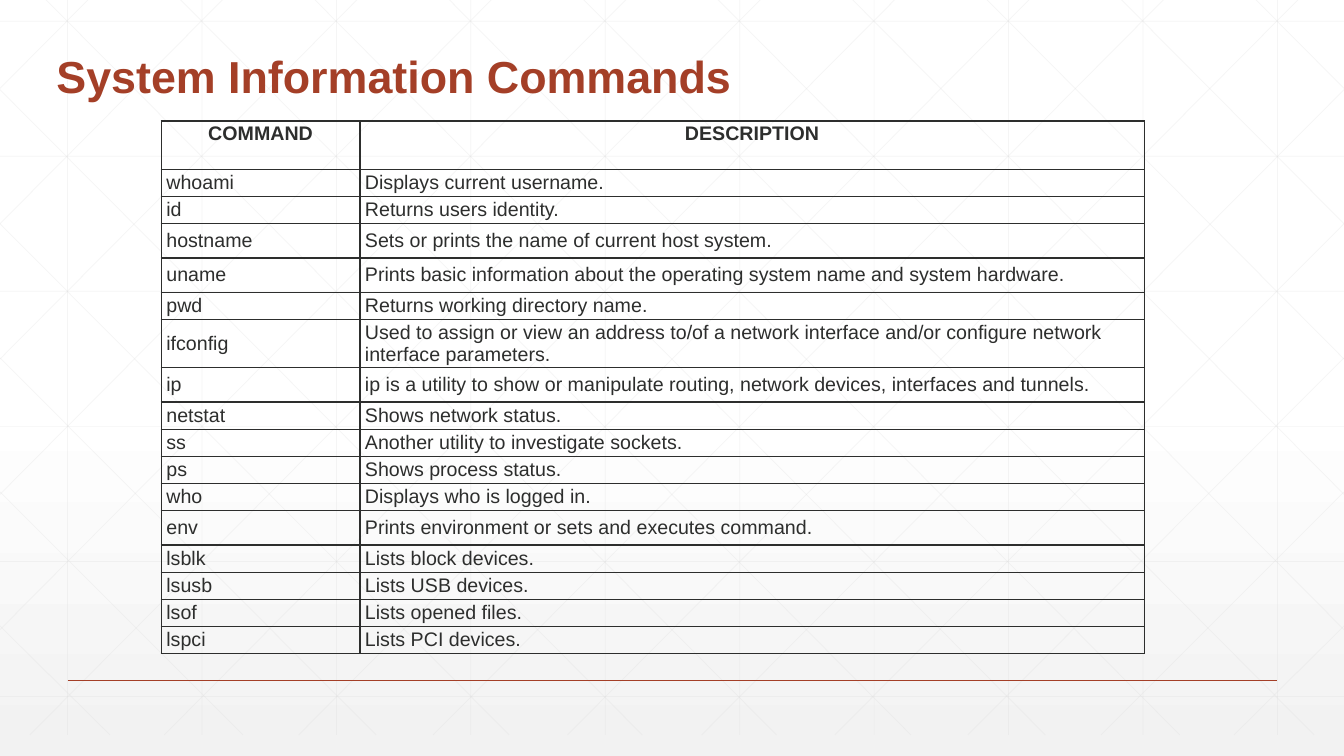
from copy import deepcopy

from lxml import etree
from pptx import Presentation
from pptx.dml.color import RGBColor
from pptx.enum.shapes import MSO_CONNECTOR
from pptx.enum.text import MSO_ANCHOR, MSO_AUTO_SIZE, PP_ALIGN
from pptx.oxml.ns import qn
from pptx.util import Inches, Pt

STRAIGHT = MSO_CONNECTOR.STRAIGHT
TOP, MIDDLE, BOTTOM = MSO_ANCHOR.TOP, MSO_ANCHOR.MIDDLE, MSO_ANCHOR.BOTTOM
LEFT, CENTER = PP_ALIGN.LEFT, PP_ALIGN.CENTER

RUST = RGBColor(0xA4, 0x3F, 0x27)
INK = RGBColor(0x2D, 0x2E, 0x2D)
GRID_GRAY = RGBColor(0xD9, 0xD9, 0xD9)
WHITE = RGBColor(0xFF, 0xFF, 0xFF)
PALE_GRAY = RGBColor(0xF2, 0xF2, 0xF2)

WIDTH, HEIGHT = 13.33, 7.5
GRID_TOP, GRID_BOTTOM = -0.21, 7.29
GRID_STEP = 4 / 3
DIAGONAL_RUN = 7.45

SHORT, MEDIUM, TALL = 0.27, 0.34, 0.48
COMMANDS = [
    ("COMMAND", "DESCRIPTION", TALL),
    ("whoami", "Displays current username.", SHORT),
    ("id", "Returns users identity.", SHORT),
    ("hostname", "Sets or prints the name of current host system.", MEDIUM),
    ("uname", "Prints basic information about the operating system name and system hardware.", MEDIUM),
    ("pwd", "Returns working directory name.", SHORT),
    ("ifconfig", "Used to assign or view an address to/of a network interface "
     "and/or configure network interface parameters.", TALL),
    ("ip", "ip is a utility to show or manipulate routing, network devices, interfaces and tunnels.", MEDIUM),
    ("netstat", "Shows network status.", SHORT),
    ("ss", "Another utility to investigate sockets.", SHORT),
    ("ps", "Shows process status.", SHORT),
    ("who", "Displays who is logged in.", SHORT),
    ("env", "Prints environment or sets and executes command.", MEDIUM),
    ("lsblk", "Lists block devices.", SHORT),
    ("lsusb", "Lists USB devices.", SHORT),
    ("lsof", "Lists opened files.", SHORT),
    ("lspci", "Lists PCI devices.", SHORT),
]


def write_text(frame, text, size=14, color=INK, bold=False, align=LEFT, spacing=1.0, after=0):
    paragraph = frame.paragraphs[0]
    paragraph.text = text
    paragraph.alignment = align
    paragraph.line_spacing = spacing
    paragraph.space_before = Pt(0)
    paragraph.space_after = Pt(after)
    font = paragraph.runs[0].font
    font.name, font.size, font.bold = "Arial", Pt(size), bold
    font.color.rgb = color


def paint_background(slide):
    fill = slide.background.fill
    fill.gradient()
    fill.gradient_angle = 270
    stop_list = slide.element.find(".//" + qn("a:gsLst"))
    stop_list.insert(1, deepcopy(stop_list[0]))
    stops = [(0, WHITE), (0.53, WHITE), (1, PALE_GRAY)]
    for stop, (position, color) in zip(fill.gradient_stops, stops):
        stop.position = position
        stop.color.rgb = color


def add_line(shapes, start, end, color, width, opacity=100):
    points = [Inches(value) for value in (*start, *end)]
    line = shapes.add_connector(STRAIGHT, *points)
    line.line.color.rgb = color
    line.line.width = Pt(width)
    properties = line.element.spPr
    if opacity < 100:
        tint = properties.find(".//" + qn("a:srgbClr"))
        etree.SubElement(tint, qn("a:alpha"), val=str(opacity * 1000))
    etree.SubElement(properties, qn("a:effectLst"))


def add_grid(slide):
    verticals = [0.67 + GRID_STEP * i for i in range(10)]
    horizontals = [0.21 + 1.34 * i for i in range(6)]
    segments = [((x, GRID_TOP), (x, GRID_BOTTOM)) for x in verticals]
    segments += [((0, y), (WIDTH, y)) for y in horizontals]

    diagonals = []
    for i in range(10):
        x = 0.25 + GRID_STEP * i
        run = min(DIAGONAL_RUN, WIDTH - x)
        drop = run * (GRID_BOTTOM - GRID_TOP) / DIAGONAL_RUN
        diagonals.append(((x, GRID_TOP), (x + run, GRID_TOP + drop)))
    for i in range(5):
        diagonals.append(((0, 0.89 + 1.33 * i), (6.37 - 1.32 * i, GRID_BOTTOM)))
    mirrored = [((WIDTH - x1, y1), (WIDTH - x2, y2)) for (x1, y1), (x2, y2) in diagonals]

    grid = slide.shapes.add_group_shape()
    for start, end in segments + diagonals + mirrored:
        add_line(grid.shapes, start, end, GRID_GRAY, 0.5, opacity=25)


def place_title(slide, text):
    title = slide.shapes.title
    title.left, title.top = Inches(0.46), Inches(0)
    title.width, title.height = Inches(7.96), Inches(1.07)
    frame = title.text_frame
    frame.word_wrap = True
    frame.auto_size = MSO_AUTO_SIZE.NONE
    frame.vertical_anchor = BOTTOM
    write_text(frame, text, size=32, color=RUST, bold=True, spacing=0.9, after=6)
    title.element.getparent().append(title.element)


def format_cell(cell):
    cell.margin_left = cell.margin_right = Inches(0.05)
    cell.margin_top = cell.margin_bottom = Inches(0.02)
    properties = cell._tc.get_or_add_tcPr()
    for side in ("a:lnL", "a:lnR", "a:lnT", "a:lnB"):
        border = etree.SubElement(properties, qn(side), w=str(Pt(1)))
        solid = etree.SubElement(border, qn("a:solidFill"))
        etree.SubElement(solid, qn("a:srgbClr"), val=str(INK))
    cell.fill.background()


def add_command_table(slide):
    total = sum(height for _, _, height in COMMANDS)
    frame = slide.shapes.add_table(
        len(COMMANDS), 2, Inches(1.6), Inches(1.2), Inches(9.75), Inches(total))
    table = frame.table
    table.horz_banding = False
    for column, width in zip(table.columns, (1.97, 7.78)):
        column.width = Inches(width)
    for index, (command, description, height) in enumerate(COMMANDS):
        is_header = index == 0
        table.rows[index].height = Inches(height)
        for cell, text in zip(table.rows[index].cells, (command, description)):
            format_cell(cell)
            cell.vertical_anchor = TOP if is_header else MIDDLE
            write_text(cell.text_frame, text, bold=is_header,
                       align=CENTER if is_header else LEFT)


def main():
    presentation = Presentation()
    presentation.slide_width = Inches(WIDTH)
    presentation.slide_height = Inches(HEIGHT)
    slide = presentation.slides.add_slide(presentation.slide_layouts[5])
    paint_background(slide)
    add_grid(slide)
    add_line(slide.shapes, (0.67, 6.75), (12.67, 6.75), RUST, 1)
    place_title(slide, "System Information Commands")
    add_command_table(slide)
    presentation.save("out.pptx")


if __name__ == "__main__":
    main()
